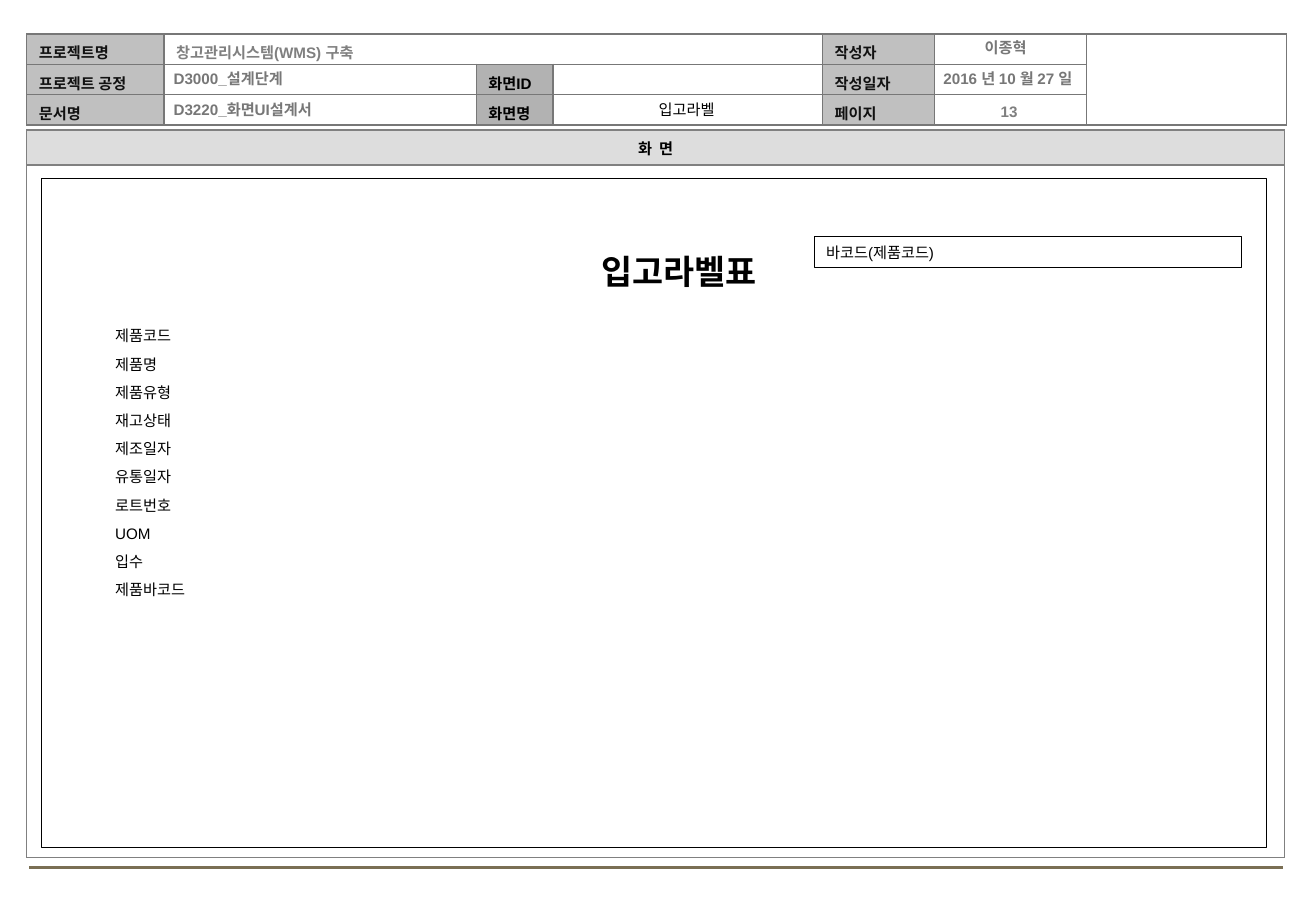
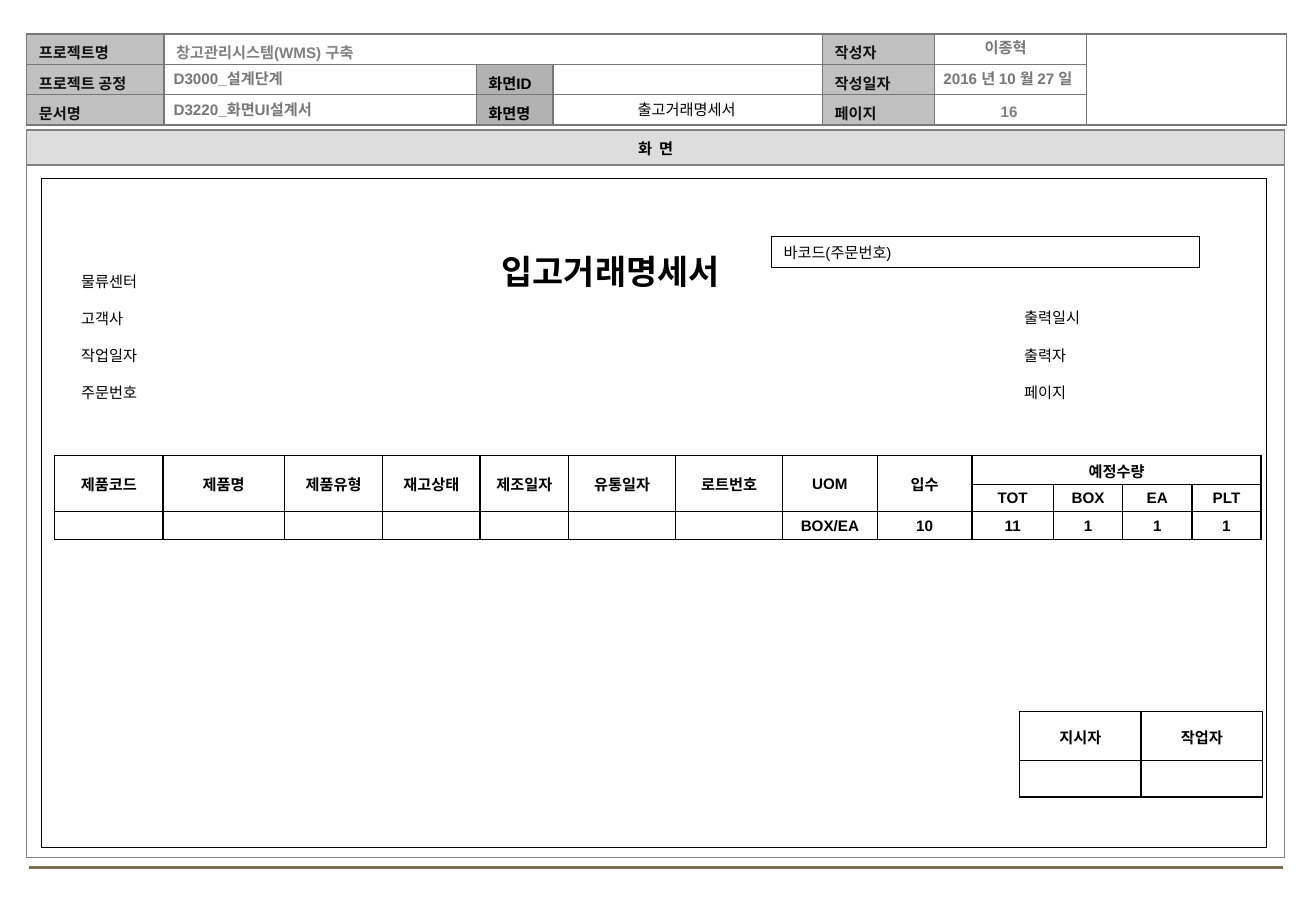
from lxml import etree
from pptx import Presentation
from pptx import util as u
from pptx.dml.color import RGBColor
from pptx.enum import shapes, text
from pptx.oxml import ns

Inches, Pt = u.Inches, u.Pt
FONT = "Arial"
COLORS = {
    "black": "000000", "label": "111111", "value": "808080", "meta": "777777",
    "page": "7F7F7F", "label_fill": "C0C0C0", "key_fill": "B2B2B2",
    "band": "DDDDDD", "grid": "777777", "frame": "808080", "rule": "7A6F54",
}
LEFT, CENTER = text.PP_ALIGN.LEFT, text.PP_ALIGN.CENTER
HEADER_COLS = [1.13, 2.57, 0.63, 2.22, 0.92, 1.25, 1.65]
HEADER_ROWS = [
    ["프로젝트명", "창고관리시스템(WMS) 구축", "", "", "작성자", "", ""],
    ["프로젝트 공정", "", "화면ID", "", "작성일자", "", ""],
    ["문서명", "", "화면명", "", "페이지", "", ""],
]
HEADER_STYLES = {0: ("label_fill", "label"), 1: (None, "value"),
                 2: ("key_fill", "black"), 4: ("label_fill", "label")}
PRODUCT_FIELDS = ["제품코드", "제품명", "제품유형", "재고상태", "제조일자",
                  "유통일자", "로트번호", "UOM", "입수"]
ITEM_COLS = [0.89, 1, 0.81, 0.8, 0.73, 0.88, 0.88, 0.78, 0.78, 0.67, 0.57, 0.57, 0.57]
ITEM_ROWS = [
    PRODUCT_FIELDS + ["예정수량", "", "", ""],
    [""] * 9 + ["TOT", "BOX", "EA", "PLT"],
    [""] * 7 + ["BOX/EA", "10", "11", "1", "1", "1"],
]


def rgb(name):
    """Return the named palette colour."""
    return RGBColor.from_string(COLORS[name])


def write(tf, content, color="black", size=9, bold=False, align=LEFT):
    """Put one formatted paragraph in a text frame."""
    tf.text = content
    p = tf.paragraphs[0]
    p.alignment = align
    for r in p.runs:
        r.font.name, r.font.size, r.font.bold = FONT, Pt(size), bold
        r.font.color.rgb = rgb(color)
    if not p.runs:
        etree.SubElement(p._p, ns.qn("a:endParaRPr"), sz=str(size * 100))


def set_insets(obj, insets):
    """Set left, top, right and bottom margins of a cell or text frame."""
    obj.margin_left, obj.margin_top, obj.margin_right, obj.margin_bottom = map(Inches, insets)


def add_text(s, box, content, **style):
    """Add a wrapping text box."""
    tf = s.shapes.add_textbox(*map(Inches, box)).text_frame
    tf.word_wrap = True
    tf.auto_size = text.MSO_AUTO_SIZE.SHAPE_TO_FIT_TEXT
    write(tf, content, **style)


def add_box(s, box, content=""):
    """Add an unfilled rectangle with a thin black outline."""
    sp = s.shapes.add_shape(shapes.MSO_SHAPE.RECTANGLE, *map(Inches, box))
    sp.shadow.inherit = False
    sp.fill.background()
    sp.line.color.rgb = rgb("black")
    sp.line.width = Pt(0.75)
    if content:
        write(sp.text_frame, content)


def add_rule(s, left, right, top):
    """Add the horizontal footer rule."""
    line = s.shapes.add_connector(shapes.MSO_CONNECTOR.STRAIGHT, Inches(left), Inches(top),
                                  Inches(right), Inches(top))
    line.line.color.rgb = rgb("rule")
    line.line.width = Pt(1.75)
    etree.SubElement(line._element.spPr, ns.qn("a:effectLst"))


def set_borders(cell, color):
    """Give all four sides of a cell a one-point line."""
    tc_pr = cell._tc.get_or_add_tcPr()
    for i, side in enumerate("LRTB"):
        ln = etree.Element(ns.qn(f"a:ln{side}"), w=str(Pt(1)))
        fill = etree.SubElement(ln, ns.qn("a:solidFill"))
        etree.SubElement(fill, ns.qn("a:srgbClr"), val=COLORS[color])
        tc_pr.insert(i, ln)


def add_table(s, left, top, cols, heights, rows, border, insets,
              styles=None, merges=(), align=CENTER):
    """Add a bordered table; styles maps a column or cell to its fill and text colour."""
    styles = styles or {}
    table = s.shapes.add_table(len(rows), len(cols), Inches(left), Inches(top),
                               Inches(sum(cols)), Inches(sum(heights))).table
    table.first_row = table.horz_banding = False
    for col, width in zip(table.columns, cols):
        col.width = Inches(width)
    for row, height in zip(table.rows, heights):
        row.height = Inches(height)
    for r, row in enumerate(rows):
        for c, content in enumerate(row):
            cell = table.cell(r, c)
            fill, color = styles.get((r, c), styles.get(c, (None, "black")))
            set_borders(cell, border)
            set_insets(cell, insets)
            cell.vertical_anchor = text.MSO_ANCHOR.MIDDLE
            if fill:
                cell.fill.solid()
                cell.fill.fore_color.rgb = rgb(fill)
            else:
                cell.fill.background()
            write(cell.text_frame, content, color=color, bold=True, align=align)
    for r1, c1, r2, c2 in merges:
        table.cell(r1, c1).merge(table.cell(r2, c2))


def add_labels(s, left, first, last, width, names):
    """Stack field labels at equal steps between two tops."""
    step = (last - first) / (len(names) - 1)
    for i, name in enumerate(names):
        add_text(s, (left, first + i * step, width, 0.25), name)


def set_title(s, box, content):
    """Place and format the title placeholder."""
    sp = s.shapes.title
    sp.left, sp.top, sp.width, sp.height = map(Inches, box)
    tf = sp.text_frame
    set_insets(tf, (0.02, 0.04, 0.02, 0.04))
    tf.vertical_anchor = text.MSO_ANCHOR.TOP
    tf.word_wrap = False
    tf.auto_size = text.MSO_AUTO_SIZE.SHAPE_TO_FIT_TEXT
    write(tf, content, size=20, bold=True)


def add_form(prs, screen, page, title, title_box):
    """Add a slide with the document header, screen frame and title."""
    s = prs.slides.add_slide(prs.slide_layouts[5])
    set_title(s, title_box, title)
    add_rule(s, 0.24, 10.56, 7.14)
    add_table(s, 0.22, 0.28, HEADER_COLS, [0.25] * 3, HEADER_ROWS, "grid",
              (0.1, 0.05, 0.1, 0), HEADER_STYLES, [(0, 1, 0, 3), (0, 6, 2, 6)], LEFT)
    add_table(s, 0.22, 1.07, [10.35], [0.29, 5.7], [["화  면"], [""]], "frame",
              (0.02, 0, 0.02, 0), {(0, 0): ("band", "black")})
    meta = {"color": "meta", "bold": True}
    add_text(s, (1.33, 0.52, 5.42, 0.25), "D3000_설계단계", **meta)
    add_text(s, (1.33, 0.78, 5.42, 0.25), "D3220_화면UI설계서", **meta)
    add_text(s, (7.49, 0.27, 1.57, 0.25), "이종혁", align=CENTER, **meta)
    add_text(s, (7.51, 0.52, 1.57, 0.25), "2016 년 10 월 27 일", align=CENTER, **meta)
    add_text(s, (7.68, 0.79, 1.25, 0.25), page, color="page", bold=True, align=CENTER)
    add_text(s, (4.56, 0.78, 2.18, 0.25), screen, align=CENTER)
    add_box(s, (0.34, 1.47, 10.08, 5.51))
    return s


def add_label_slide(prs):
    """Build the receiving label form."""
    s = add_form(prs, "입고라벨", "13", "입고라벨표", (4.93, 2.02, 1.44, 0.42))
    add_box(s, (6.7, 1.95, 3.52, 0.25), "바코드(제품코드)")
    add_labels(s, 0.85, 2.64, 4.73, 1.17, PRODUCT_FIELDS + ["제품바코드"])


def add_statement_slide(prs):
    """Build the transaction statement form."""
    s = add_form(prs, "출고거래명세서", "16", "입고거래명세서", (4.11, 2.02, 2, 0.42))
    add_box(s, (6.35, 1.95, 3.52, 0.25), "바코드(주문번호)")
    add_labels(s, 0.57, 2.19, 3.11, 0.86, ["물류센터", "고객사", "작업일자", "주문번호"])
    add_labels(s, 8.33, 2.49, 3.11, 0.86, ["출력일시", "출력자", "페이지"])
    insets = (0.01, 0.01, 0.01, 0)
    merges = [(0, c, 1, c) for c in range(len(PRODUCT_FIELDS))] + [(0, 9, 0, 12)]
    add_table(s, 0.45, 3.75, ITEM_COLS, [0.24, 0.22, 0.23], ITEM_ROWS, "black",
              insets, merges=merges)
    add_table(s, 8.39, 5.86, [1, 1], [0.4, 0.3], [["지시자", "작업자"], ["", ""]],
              "black", insets)


def main():
    """Build and save the presentation."""
    prs = Presentation()
    prs.slide_width, prs.slide_height = Inches(10.83), Inches(7.5)
    add_label_slide(prs)
    add_statement_slide(prs)
    prs.save("out.pptx")


main()
